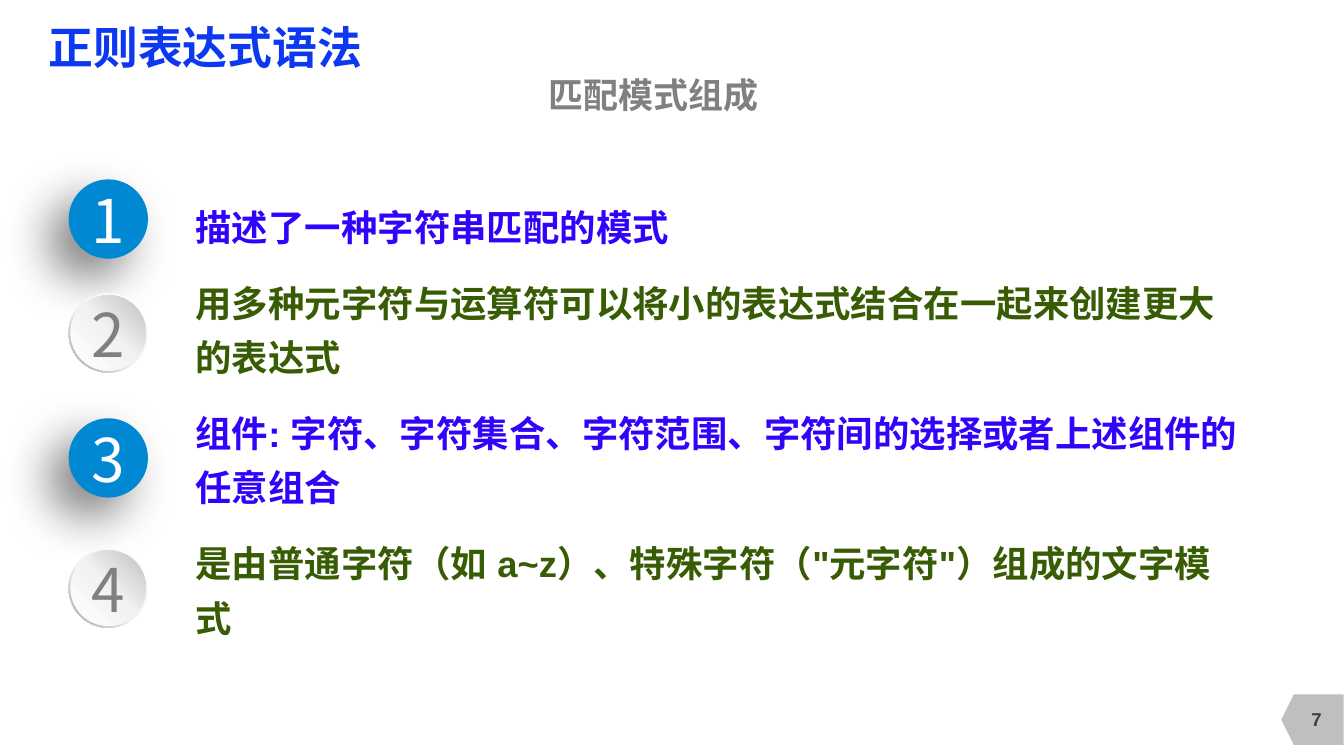
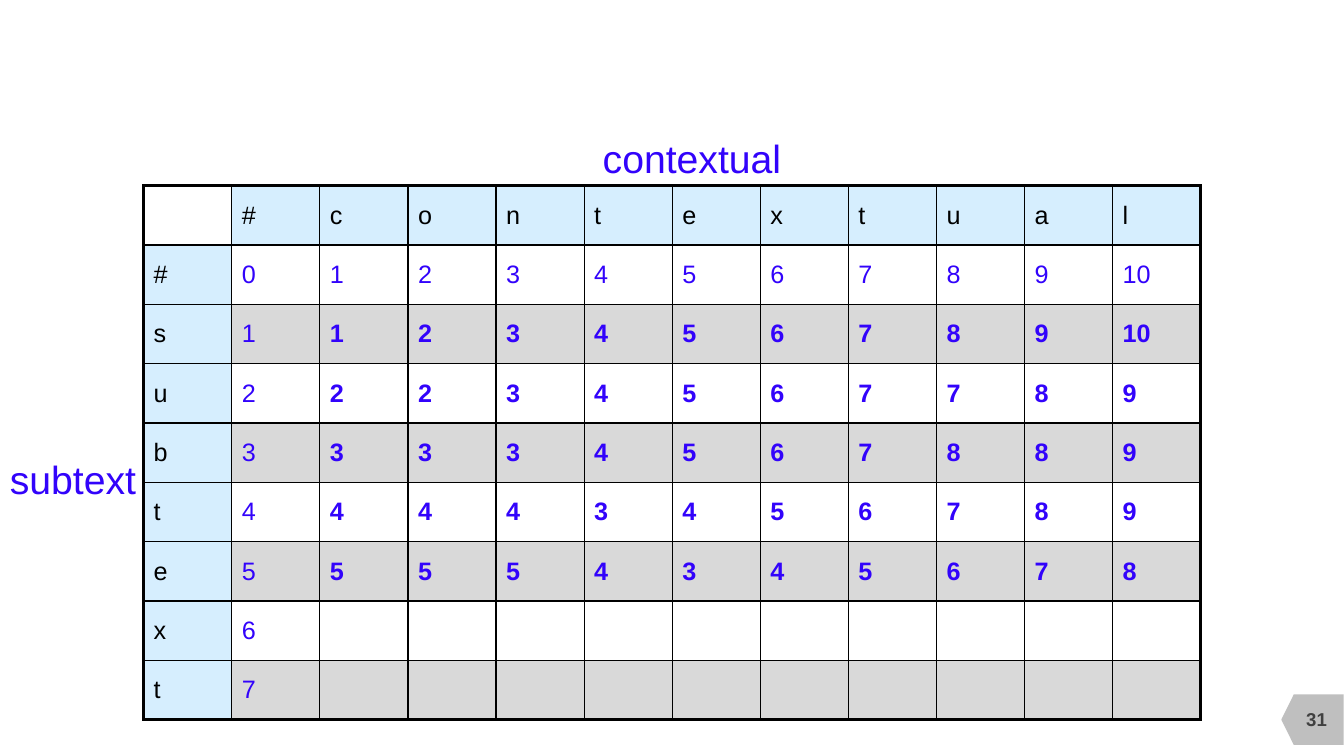
from copy import deepcopy

from lxml.etree import SubElement
from pptx import Presentation
from pptx.dml.color import RGBColor
from pptx.enum.lang import MSO_LANGUAGE_ID
from pptx.enum.shapes import MSO_SHAPE
from pptx.enum.text import MSO_ANCHOR, MSO_AUTO_SIZE, PP_ALIGN
from pptx.oxml.ns import qn
from pptx.util import Cm, Pt

TITLE_BLUE = RGBColor(0x0D, 0x38, 0xF1)
INK_BLUE = RGBColor(0x32, 0x03, 0xFB)
INK_GREEN = RGBColor(0x37, 0x5C, 0x03)
CIRCLE_BLUE = RGBColor(0x00, 0x89, 0xD2)
HEADER_BLUE = RGBColor(0xD6, 0xEE, 0xFE)
WHITE = RGBColor(0xFF, 0xFF, 0xFF)
BLACK = RGBColor(0x00, 0x00, 0x00)
PALE_GRAY = RGBColor(0xF2, 0xF2, 0xF2)
BAND_GRAY = RGBColor(0xD9, 0xD9, 0xD9)
TAB_GRAY = RGBColor(0xBF, 0xBF, 0xBF)
RIM_GRAY = RGBColor(0xA6, 0xA6, 0xA6)
TEXT_GRAY = RGBColor(0x80, 0x80, 0x80)
NUMBER_GRAY = RGBColor(0x40, 0x40, 0x40)
TEXT_FONT = "Arial"
DIGIT_FONT = "Noto Sans CJK SC"


def add_run(paragraph, text, size, color, bold=False, font_name=TEXT_FONT):
    """Add a run whose Latin and East Asian typefaces are the same."""
    run = paragraph.add_run()
    run.text = text
    run.font.size = Pt(size)
    run.font.bold = bold
    run.font.color.rgb = color
    run.font.name = font_name
    run.font.language_id = MSO_LANGUAGE_ID.SIMPLIFIED_CHINESE
    SubElement(run.font._element, qn("a:ea"), typeface=font_name)


def prepare_frame(shape, anchor=MSO_ANCHOR.MIDDLE, wrap=True, inset=None):
    """Fix wrapping, anchor and insets; return the first paragraph."""
    frame = shape.text_frame
    frame.auto_size = MSO_AUTO_SIZE.NONE
    frame.word_wrap = wrap
    frame.vertical_anchor = anchor
    if inset is not None:
        frame.margin_left = frame.margin_right = inset
        frame.margin_top = frame.margin_bottom = inset
    return frame.paragraphs[0]


presentation = Presentation()
presentation.slide_width = Cm(33.87)
presentation.slide_height = Cm(19.05)
syntax_slide = presentation.slides.add_slide(presentation.slide_layouts[1])
distance_slide = presentation.slides.add_slide(presentation.slide_layouts[6])

# Page tab on both slides
for slide, number in ((syntax_slide, "7"), (distance_slide, "31")):
    tab = slide.shapes.add_shape(
        MSO_SHAPE.FLOWCHART_OFFPAGE_CONNECTOR, Cm(32.44), Cm(17.35), Cm(1.27), Cm(1.57))
    tab.rotation = 90
    tab.shadow.inherit = False
    tab.fill.solid()
    tab.fill.fore_color.rgb = TAB_GRAY
    tab.line.fill.background()
    number_box = slide.shapes.add_textbox(Cm(32.33), Cm(17.6), Cm(1.7), Cm(1.02))
    paragraph = prepare_frame(number_box)
    paragraph.alignment = PP_ALIGN.CENTER
    add_run(paragraph, number, 13.3, NUMBER_GRAY, bold=True)

# Syntax slide: title and subtitle
title = syntax_slide.shapes.title
title.left, title.top, title.width, title.height = Cm(1.22), Cm(0.51), Cm(16.61), Cm(1.32)
paragraph = prepare_frame(title, wrap=False, inset=0)
paragraph.alignment = PP_ALIGN.LEFT
add_run(paragraph, "正则表达式语法", 32, TITLE_BLUE, bold=True)

subtitle = syntax_slide.placeholders[1]
subtitle.left, subtitle.top, subtitle.width, subtitle.height = Cm(8.84), Cm(1.8), Cm(15.24), Cm(1.14)
paragraph = prepare_frame(subtitle, inset=0)
properties = paragraph._p.get_or_add_pPr()
properties.set("marL", "0")
properties.set("indent", "0")
SubElement(properties, qn("a:buNone"))
paragraph.alignment = PP_ALIGN.CENTER
paragraph.space_before = Pt(0)
add_run(paragraph, "匹配模式组成", 25, TEXT_GRAY, bold=True)

# Syntax slide: four points
points = [
    "描述了一种字符串匹配的模式",
    "用多种元字符与运算符可以将小的表达式结合在一起来创建更大的表达式",
    "组件: 字符、字符集合、字符范围、字符间的选择或者上述组件的任意组合",
    '是由普通字符（如 a~z）、特殊字符（"元字符"）组成的文字模式',
]
points_box = syntax_slide.shapes.add_textbox(Cm(4.93), Cm(4.9), Cm(26.34), Cm(13.11))
paragraph = prepare_frame(points_box, anchor=MSO_ANCHOR.TOP, inset=0)
for index, point in enumerate(points):
    if index > 0:
        paragraph = points_box.text_frame.add_paragraph()
        paragraph.space_before = Pt(15)
    paragraph.line_spacing = 1.25
    add_run(paragraph, point, 26, INK_GREEN if index % 2 else INK_BLUE, bold=True)

# Syntax slide: numbered circles, flat blue and raised gray in turn
CIRCLE_LEFT, CIRCLE_SIZE, RIM = Cm(1.73), Cm(2), Cm(0.05)
for index, top in enumerate((Cm(4.52), Cm(7.39), Cm(10.54), Cm(13.82))):
    raised = index % 2 == 1
    if raised:
        button = syntax_slide.shapes.add_group_shape()
        ring = button.shapes.add_shape(
            MSO_SHAPE.DONUT, CIRCLE_LEFT, top, CIRCLE_SIZE, CIRCLE_SIZE)
        ring.adjustments[0] = 0.05
        circle = button.shapes.add_shape(
            MSO_SHAPE.OVAL, CIRCLE_LEFT + RIM, top + RIM,
            CIRCLE_SIZE - 2 * RIM, CIRCLE_SIZE - 2 * RIM)
        for shape, angle, middle, end_color in (
                (ring, 225, 0.55, RIM_GRAY), (circle, 45, 0.51, TAB_GRAY)):
            shape.shadow.inherit = False
            shape.line.fill.background()
            shape.fill.gradient()
            shape.fill.gradient_angle = angle
            stop_list = shape._element.spPr.find(".//" + qn("a:gsLst"))
            stop_list.insert(1, deepcopy(stop_list[0]))
            stops = ((0, WHITE), (middle, PALE_GRAY), (1, end_color))
            for stop, (position, color) in zip(shape.fill.gradient_stops, stops):
                stop.position = position
                stop.color.rgb = color
    else:
        circle = syntax_slide.shapes.add_shape(
            MSO_SHAPE.OVAL, CIRCLE_LEFT, top, CIRCLE_SIZE, CIRCLE_SIZE)
        circle.fill.solid()
        circle.fill.fore_color.rgb = CIRCLE_BLUE
        circle.line.fill.background()
        circle.shadow.inherit = False
        effects = circle._element.spPr.find(qn("a:effectLst"))
        shadow = SubElement(
            effects, qn("a:outerShdw"), blurRad=str(Pt(35)), dist=str(Pt(20)),
            dir=str(135 * 60000), algn="tr", rotWithShape="0")
        shadow_color = SubElement(shadow, qn("a:srgbClr"), val=str(BLACK))
        SubElement(shadow_color, qn("a:alpha"), val="50000")
    paragraph = prepare_frame(circle, wrap=False)
    paragraph.alignment = PP_ALIGN.CENTER
    add_run(paragraph, str(index + 1), 43, TEXT_GRAY if raised else WHITE, font_name=DIGIT_FONT)

# Distance slide: word labels
for word, left, top, width in (
        ("subtext", 0, 11.35, 3.73), ("contextual", 14.94, 3.25, 5.08)):
    label = distance_slide.shapes.add_textbox(Cm(left), Cm(top), Cm(width), Cm(1.45))
    paragraph = prepare_frame(label, anchor=MSO_ANCHOR.TOP, wrap=False)
    add_run(paragraph, word, 28, INK_BLUE)

# Distance slide: edit distance table
distance_rows = [
    ["", *"#contextual"],
    "# 0 1 2 3 4 5 6 7 8 9 10".split(),
    "s 1 1 2 3 4 5 6 7 8 9 10".split(),
    "u 2 2 2 3 4 5 6 7 7 8 9".split(),
    "b 3 3 3 3 4 5 6 7 8 8 9".split(),
    "t 4 4 4 4 3 4 5 6 7 8 9".split(),
    "e 5 5 5 5 4 3 4 5 6 7 8".split(),
    ["x", "6"],
    ["t", "7"],
]
row_count, column_count = len(distance_rows), len(distance_rows[0])
table = distance_slide.shapes.add_table(
    row_count, column_count, Cm(3.62), Cm(4.68), Cm(26.64), Cm(13.46)).table
table.first_row = False
table.horz_banding = False
for row in range(row_count):
    for column in range(column_count):
        cell = table.cell(row, column)
        cell.vertical_anchor = MSO_ANCHOR.MIDDLE
        outer_edges = {
            "a:lnL": column == 0,
            "a:lnR": column == column_count - 1,
            "a:lnT": row == 0,
            "a:lnB": row == row_count - 1,
        }
        for tag, is_outer in outer_edges.items():
            border = SubElement(
                cell._tc.get_or_add_tcPr(), qn(tag), w=str(Pt(2.25 if is_outer else 1)))
            border_fill = SubElement(border, qn("a:solidFill"))
            SubElement(border_fill, qn("a:srgbClr"), val=str(BLACK))

        is_header = row == 0 or column == 0
        if row == column == 0 or (not is_header and row % 2 == 1):
            cell.fill.background()
        else:
            cell.fill.solid()
            cell.fill.fore_color.rgb = HEADER_BLUE if is_header else BAND_GRAY

        values = distance_rows[row]
        if column < len(values) and values[column]:
            add_run(cell.text_frame.paragraphs[0], values[column], 18,
                    BLACK if is_header else INK_BLUE, bold=row > 1 and column > 1)

presentation.save("out.pptx")
